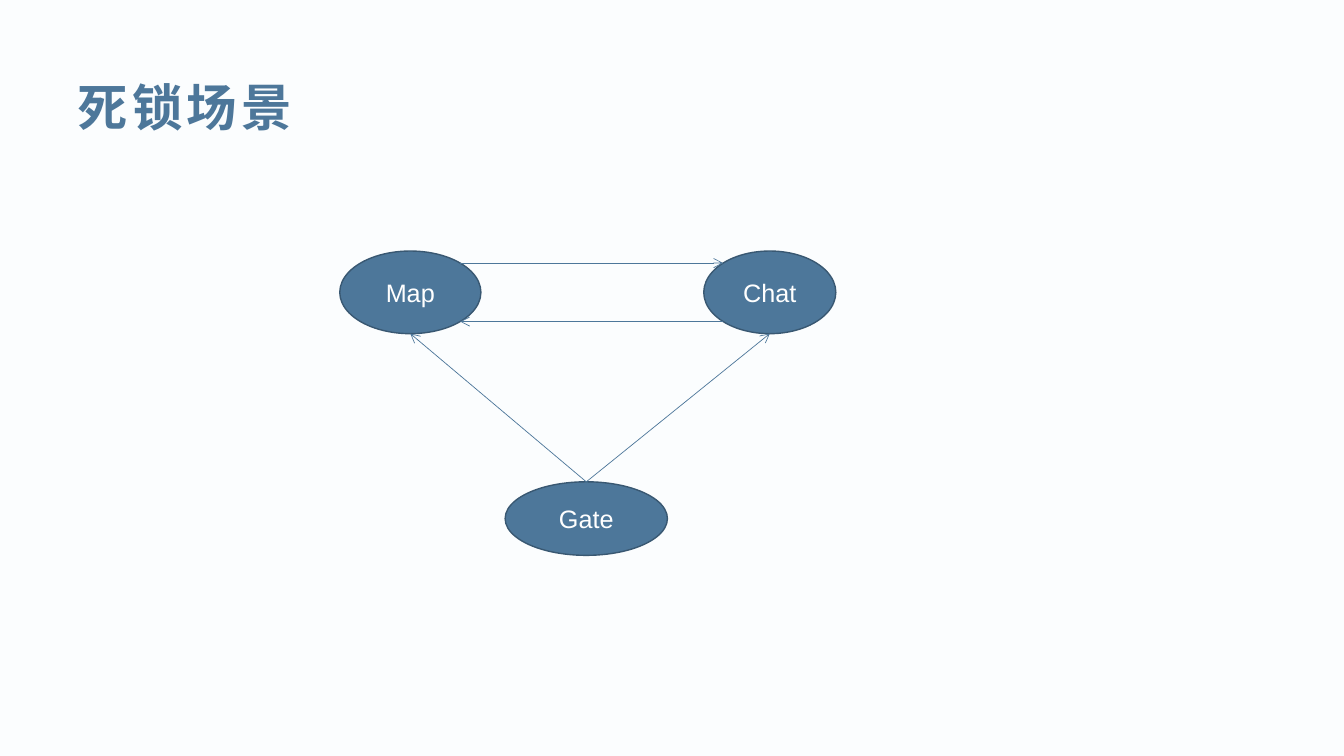
from math import sqrt

from lxml import etree
from pptx import Presentation
from pptx.dml.color import RGBColor
from pptx.enum.shapes import MSO_CONNECTOR, MSO_SHAPE
from pptx.enum.text import MSO_ANCHOR, MSO_AUTO_SIZE, PP_ALIGN
from pptx.oxml.ns import qn
from pptx.util import Inches, Pt

STRAIGHT = MSO_CONNECTOR.STRAIGHT
OVAL = MSO_SHAPE.OVAL
MIDDLE = MSO_ANCHOR.MIDDLE
NO_FIT = MSO_AUTO_SIZE.NONE
LEFT, CENTER = PP_ALIGN.LEFT, PP_ALIGN.CENTER

TITLE = "死锁场景"
FONT = "Arial"
BACKGROUND, BLUE, DARK_BLUE, WHITE = "FBFDFE", "4D779A", "395872", "FFFFFF"

NODES = {
    "Map": (3.37, 2.49, 1.4, 0.82),
    "Chat": (6.98, 2.49, 1.31, 0.82),
    "Gate": (5.01, 4.78, 1.61, 0.73),
}
DIAGONAL = sqrt(0.5)
SITES = {
    "top": (0, -1),
    "bottom": (0, 1),
    "top left": (-DIAGONAL, -DIAGONAL),
    "top right": (DIAGONAL, -DIAGONAL),
    "bottom left": (-DIAGONAL, DIAGONAL),
    "bottom right": (DIAGONAL, DIAGONAL),
}
ARROWS = [
    ("Map", "top right", "Chat", "top left"),
    ("Chat", "bottom left", "Map", "bottom right"),
    ("Gate", "top", "Chat", "bottom"),
    ("Gate", "top", "Map", "bottom"),
]


def color(value):
    return RGBColor.from_string(value)


def set_text(shape, text, size, hue, align):
    frame = shape.text_frame
    frame.text = text
    frame.vertical_anchor = MIDDLE
    frame.auto_size = NO_FIT
    para = frame.paragraphs[0]
    para.alignment = align
    span = para.runs[0]
    span.font.name = FONT
    span.font.size = Pt(size)
    span.font.color.rgb = color(hue)
    return span


def site_point(node, site):
    left, top, width, height = NODES[node]
    across, down = SITES[site]
    return (Inches(left + width / 2 * (1 + across)),
            Inches(top + height / 2 * (1 + down)))


def add_node(page, name):
    oval = page.shapes.add_shape(OVAL, *map(Inches, NODES[name]))
    oval.shadow.inherit = False
    oval.fill.solid()
    oval.fill.fore_color.rgb = color(BLUE)
    oval.line.color.rgb = color(DARK_BLUE)
    oval.line.width = Pt(1)
    set_text(oval, name, 18, WHITE, CENTER)


def add_arrow(page, source, source_site, target, target_site):
    arrow = page.shapes.add_connector(
        STRAIGHT, *site_point(source, source_site), *site_point(target, target_site))
    arrow.line.color.rgb = color(BLUE)
    arrow.line.width = Pt(0.5)
    etree.SubElement(arrow.line._get_or_add_ln(), qn("a:tailEnd"), type="arrow")
    etree.SubElement(arrow._element.spPr, qn("a:effectLst"))


def main():
    deck = Presentation()
    deck.slide_width, deck.slide_height = Inches(13.33), Inches(7.5)
    page = deck.slides.add_slide(deck.slide_layouts[5])
    page.background.fill.solid()
    page.background.fill.fore_color.rgb = color(BACKGROUND)

    title = page.shapes.title
    title.left, title.top, title.width, title.height = map(
        Inches, (0.67, 0.67, 12.28, 0.77))
    span = set_text(title, TITLE, 36, BLUE, LEFT)
    span.font.bold = True
    span.font._element.set("spc", "300")

    for name in NODES:
        add_node(page, name)
    for arrow in ARROWS:
        add_arrow(page, *arrow)
    deck.save("out.pptx")


if __name__ == "__main__":
    main()
